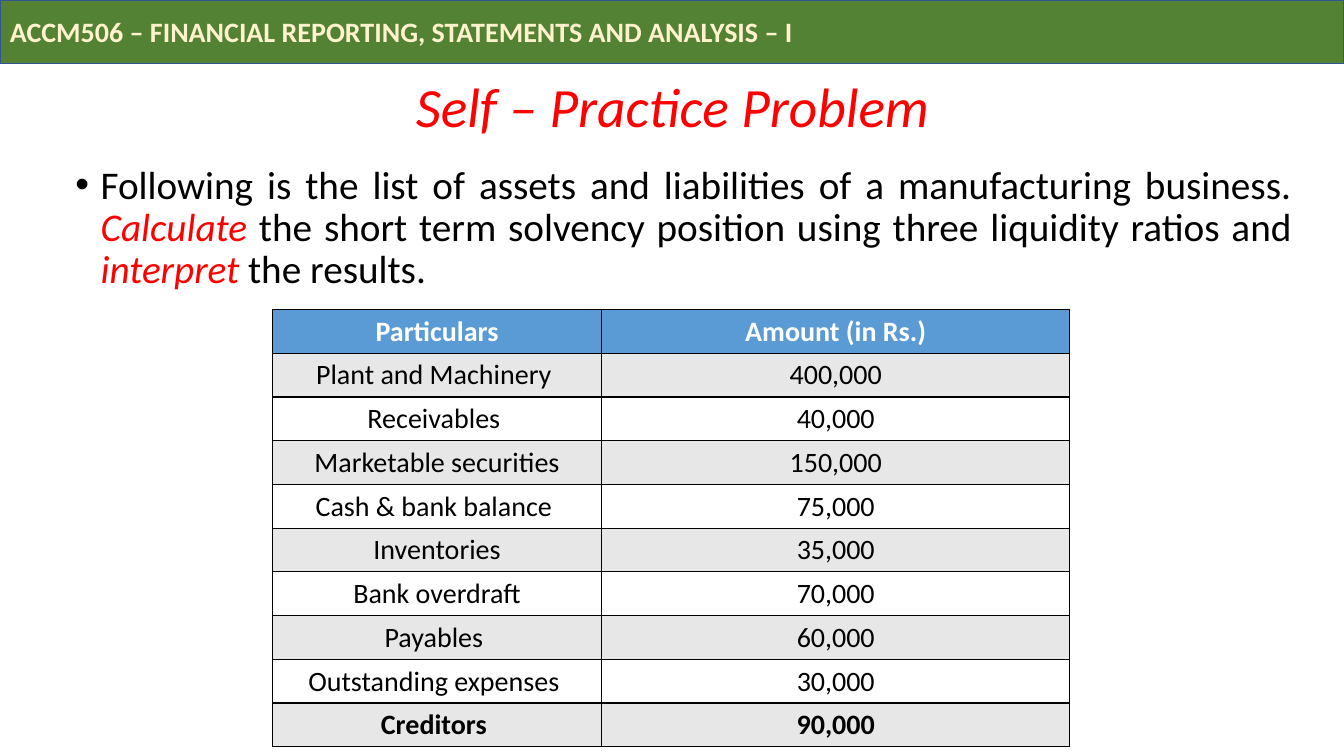
from lxml.etree import SubElement
from pptx import Presentation
from pptx.dml.color import RGBColor as Rgb
from pptx.enum.shapes import MSO_SHAPE as Shape
from pptx.enum.text import MSO_ANCHOR as Anchor, MSO_AUTO_SIZE as Fit, PP_ALIGN as Align
from pptx.oxml.ns import qn
from pptx.util import Pt

SCALE = 9144  # EMU per px, 100 px to the inch
INK = {
    "green": "548235", "navy": "325491", "cream": "FFF2CC", "red": "FF0000",
    "black": "000000", "white": "FFFFFF", "blue": "5B9BD5", "grey": "E7E7E7",
}
ROWS = [
    ("Particulars", "Amount (in Rs.)"),
    ("Plant and Machinery ", "400,000"),
    ("Receivables ", "40,000"),
    ("Marketable securities", "150,000"),
    ("Cash & bank balance ", "75,000"),
    ("Inventories", "35,000"),
    ("Bank overdraft", "70,000"),
    ("Payables ", "60,000"),
    ("Outstanding expenses ", "30,000"),
    ("Creditors ", "90,000"),
]
TASK = [
    ("Following is the list of assets and liabilities of a manufacturing business. ", False),
    ("Calculate", True),
    (" the short term solvency position using three liquidity ratios and ", False),
    ("interpret", True),
    (" the results.", False),
]


def px(*nums):
    return [n * SCALE for n in nums]


def tint(name):
    return Rgb.from_string(INK[name])


class Deck:
    face = "Calibri"

    def __init__(self, wide, high):
        self.prs = Presentation()
        self.prs.slide_width, self.prs.slide_height = px(wide, high)
        self.slide = self.prs.slides.add_slide(self.prs.slide_layouts[5])

    def style(self, para, size, ink, bold=False, italic=False, align=Align.LEFT):
        para.alignment = align
        font = para.font
        font.name, font.size, font.bold, font.italic = self.face, Pt(size), bold, italic
        font.color.rgb = tint(ink)

    def title(self, text, *box):
        head = self.slide.shapes.title
        head.left, head.top, head.width, head.height = px(*box)
        frame = head.text_frame
        frame.text = text
        frame.auto_size, frame.vertical_anchor = Fit.NONE, Anchor.MIDDLE
        para = frame.paragraphs[0]
        para.line_spacing = 0.9
        self.style(para, 39.6, "red", italic=True, align=Align.CENTER)

    def banner(self, text, *box):
        bar = self.slide.shapes.add_shape(Shape.RECTANGLE, *px(*box))
        bar.shadow.inherit = False
        bar.fill.solid()
        bar.fill.fore_color.rgb = tint("green")
        bar.line.color.rgb = tint("navy")
        bar.line.width = Pt(1)
        bar.text_frame.text = text
        bar.text_frame.vertical_anchor = Anchor.MIDDLE
        self.style(bar.text_frame.paragraphs[0], 20, "cream", bold=True)

    def bullet(self, parts, *box):
        """Add one justified bullet; parts pair text with a stress flag."""
        frame = self.slide.shapes.add_textbox(*px(*box)).text_frame
        frame.word_wrap = True
        para = frame.paragraphs[0]
        para.line_spacing = 0.9
        props = para._p.get_or_add_pPr()
        indent = 25 * SCALE
        props.set("marL", str(indent))
        props.set("indent", str(-indent))
        SubElement(props, qn("a:buFont"), typeface="Arial")
        SubElement(props, qn("a:buChar"), char="•")
        self.style(para, 28, "black", align=Align.JUSTIFY)
        for text, stress in parts:
            run = para.add_run()
            run.text = text
            if stress:
                run.font.italic = True
                run.font.color.rgb = tint("red")

    def border(self, cell):
        props = cell._tc.get_or_add_tcPr()
        for at, side in enumerate(("lnL", "lnR", "lnT", "lnB")):
            line = SubElement(props, qn(f"a:{side}"), w=str(Pt(1)))
            fill = SubElement(line, qn("a:solidFill"))
            SubElement(fill, qn("a:srgbClr"), val=INK["black"])
            props.insert(at, line)

    def table(self, rows, left, top, cols, high):
        """Add a banded grid with bold first and last rows."""
        size = px(left, top, sum(cols), high * len(rows))
        grid = self.slide.shapes.add_table(len(rows), len(cols), *size).table
        for col, wide in zip(grid.columns, px(*cols)):
            col.width = wide
        last = len(rows) - 1
        for r, row in enumerate(rows):
            grid.rows[r].height = high * SCALE
            band = "blue" if r == 0 else "grey" if r % 2 else "white"
            for c, text in enumerate(row):
                cell = grid.cell(r, c)
                cell.text = text
                cell.fill.solid()
                cell.fill.fore_color.rgb = tint(band)
                self.border(cell)
                self.style(cell.text_frame.paragraphs[0], 20, "black" if r else "white",
                           bold=r in (0, last), align=Align.CENTER)


def main():
    deck = Deck(1333, 750)
    deck.banner("ACCM506 – FINANCIAL REPORTING, STATEMENTS AND ANALYSIS – I", 0, 0, 1333, 63)
    deck.title("Self – Practice Problem", 92, 74, 1150, 69)
    deck.bullet(TASK, 65, 159, 1226, 516)
    deck.table(ROWS, 270, 307, (327, 464), 41)
    deck.prs.save("out.pptx")


if __name__ == "__main__":
    main()
